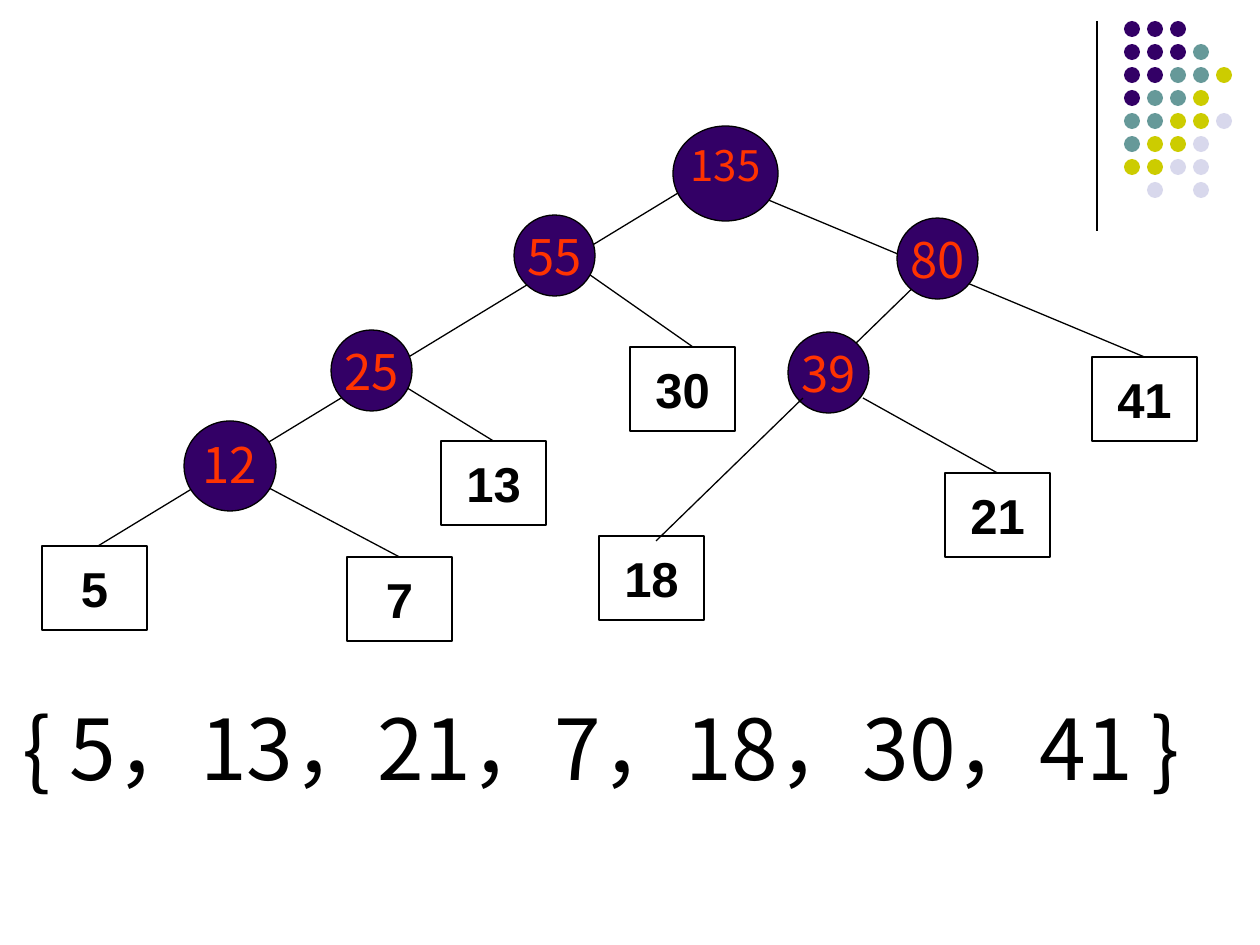
import pptx
import pptx.dml.color
import pptx.enum.shapes
import pptx.enum.text
import pptx.oxml.ns
import pptx.util
from lxml import etree

RGBColor = pptx.dml.color.RGBColor
MSO_SHAPE = pptx.enum.shapes.MSO_SHAPE
MSO_ANCHOR = pptx.enum.text.MSO_ANCHOR
PP_ALIGN = pptx.enum.text.PP_ALIGN
qn = pptx.oxml.ns.qn

BLACK = RGBColor(0x00, 0x00, 0x00)
PURPLE = RGBColor(0x33, 0x00, 0x66)
TEAL = RGBColor(0x66, 0x99, 0x99)
OLIVE = RGBColor(0xCC, 0xCC, 0x00)
LILAC = RGBColor(0xD8, 0xD8, 0xEC)
ORANGE = RGBColor(0xFF, 0x33, 0x00)
CJK = "Noto Sans CJK SC"

DOT_COLORS = {"P": PURPLE, "T": TEAL, "O": OLIVE, "L": LILAC}
DOT_ROWS = ["PPP", "PPPT", "PPTTO", "PTTO", "TTOOL", "TOOL", "OOLL", " L L"]

LEAVES = {
    "5": (0, 420), "7": (305, 431), "13": (399, 315), "30": (588, 221),
    "18": (557, 410), "21": (903, 347), "41": (1050, 231),
}
NODES = {
    "25": (289, 204, 81, 81, 28), "80": (855, 92, 81, 81, 28),
    "55": (472, 89, 81, 81, 28), "135": (631, 0, 105, 95, 24),
    "12": (142, 295, 92, 90, 28), "39": (746, 206, 81, 81, 28),
}
BACK_EDGES = [
    ((176, 335), "7"), ((323, 236), "13"), ((511, 123), (651, 221)),
    ((641, 64), (56, 420)), ((724, 73), "41"), ((918, 116), (772, 258)),
]
FRONT_EDGES = [((821, 272), "21"), ((761, 272), (614, 415))]


def px(n):
    """Turn px at 126 to the inch into EMU."""
    return pptx.util.Emu(round(n * 914400 / 126))


def add_line(s, x1, y1, x2, y2):
    """Draw a thin black line without a shadow."""
    line = s.shapes.add_connector(
        pptx.enum.shapes.MSO_CONNECTOR.STRAIGHT, px(x1), px(y1), px(x2), px(y2))
    line.line.color.rgb = BLACK
    line.line.width = pptx.util.Pt(0.75)
    etree.SubElement(line._element.spPr, qn("a:effectLst"))
    return line


def add_shape(s, kind, x, y, w, h, fill=None, outline=True):
    """Draw a preset shape with an optional fill and black outline."""
    sp = s.shapes.add_shape(kind, px(x), px(y), px(w), px(h))
    sp.shadow.inherit = False
    if fill is None:
        sp.fill.background()
    else:
        sp.fill.solid()
        sp.fill.fore_color.rgb = fill
    if outline:
        sp.line.color.rgb = BLACK
        sp.line.width = pptx.util.Pt(0.75)
    else:
        sp.line.fill.background()
    return sp


def write(tf, text, size, name, color, align, bold=False):
    """Fill a text frame with one styled paragraph."""
    p = tf.paragraphs[0]
    p.text = text
    p.alignment = align
    p.font.size = pptx.util.Pt(size)
    p.font.bold = bold
    p.font.color.rgb = color
    p.font.name = name
    etree.SubElement(p.font._element, qn("a:ea"), typeface=name)


def add_leaf(s, text, x, y):
    """Draw a leaf box with its bold weight."""
    sp = add_shape(s, MSO_SHAPE.RECTANGLE, x, y, 105, 84)
    tf = sp.text_frame
    tf.word_wrap = False
    tf.vertical_anchor = MSO_ANCHOR.MIDDLE
    write(tf, text, 28, "Arial", BLACK, PP_ALIGN.CENTER, True)
    return sp


def add_node(s, text, x, y, w, h, size):
    """Draw an inner node with its summed weight."""
    tf = add_shape(s, MSO_SHAPE.OVAL, x, y, w, h, PURPLE).text_frame
    tf.margin_left = tf.margin_top = tf.margin_right = tf.margin_bottom = 0
    tf.word_wrap = True
    tf.vertical_anchor = MSO_ANCHOR.TOP
    write(tf, text, size, CJK, ORANGE, PP_ALIGN.CENTER)


def add_edges(s, edges, leaves, x, y):
    """Draw edges to points, or joined to the top of a named leaf."""
    for (x1, y1), end in edges:
        x2, y2 = (x1, y1) if end in leaves else end
        line = add_line(s, x + x1, y + y1, x + x2, y + y2)
        if end in leaves:
            line.end_connect(leaves[end], 0)


def add_tree(s, x, y):
    """Draw the Huffman tree from its top left corner."""
    leaves = {text: add_leaf(s, text, x + dx, y + dy)
              for text, (dx, dy) in LEAVES.items()}
    add_edges(s, BACK_EDGES, leaves, x, y)
    for text, (dx, dy, w, h, size) in NODES.items():
        add_node(s, text, x + dx, y + dy, w, h, size)
    add_edges(s, FRONT_EDGES, leaves, x, y)


def add_dots(s, x, y):
    """Draw the corner rule and its grid of coloured dots."""
    add_line(s, x, y, x, y + 210)
    for row, codes in enumerate(DOT_ROWS):
        for col, code in enumerate(codes):
            if code in DOT_COLORS:
                add_shape(s, MSO_SHAPE.OVAL, x + 27 + 23 * col, y + 23 * row,
                          16, 16, DOT_COLORS[code], False)


def add_weights(s, x, y, w, h):
    """Write the set of weights."""
    tf = s.shapes.add_textbox(px(x), px(y), px(w), px(h)).text_frame
    tf.word_wrap = True
    write(tf, "{ 5，13，21，7，18，30，41 }", 48, CJK, BLACK, PP_ALIGN.LEFT)


def main():
    """Build the slide and save it."""
    prs = pptx.Presentation()
    prs.slide_width, prs.slide_height = px(1260), px(945)
    s = prs.slides.add_slide(prs.slide_layouts[6])
    add_dots(s, 1097, 21)
    add_weights(s, 10, 690, 1216, 214)
    add_tree(s, 42, 126)
    prs.save("out.pptx")


if __name__ == "__main__":
    main()
